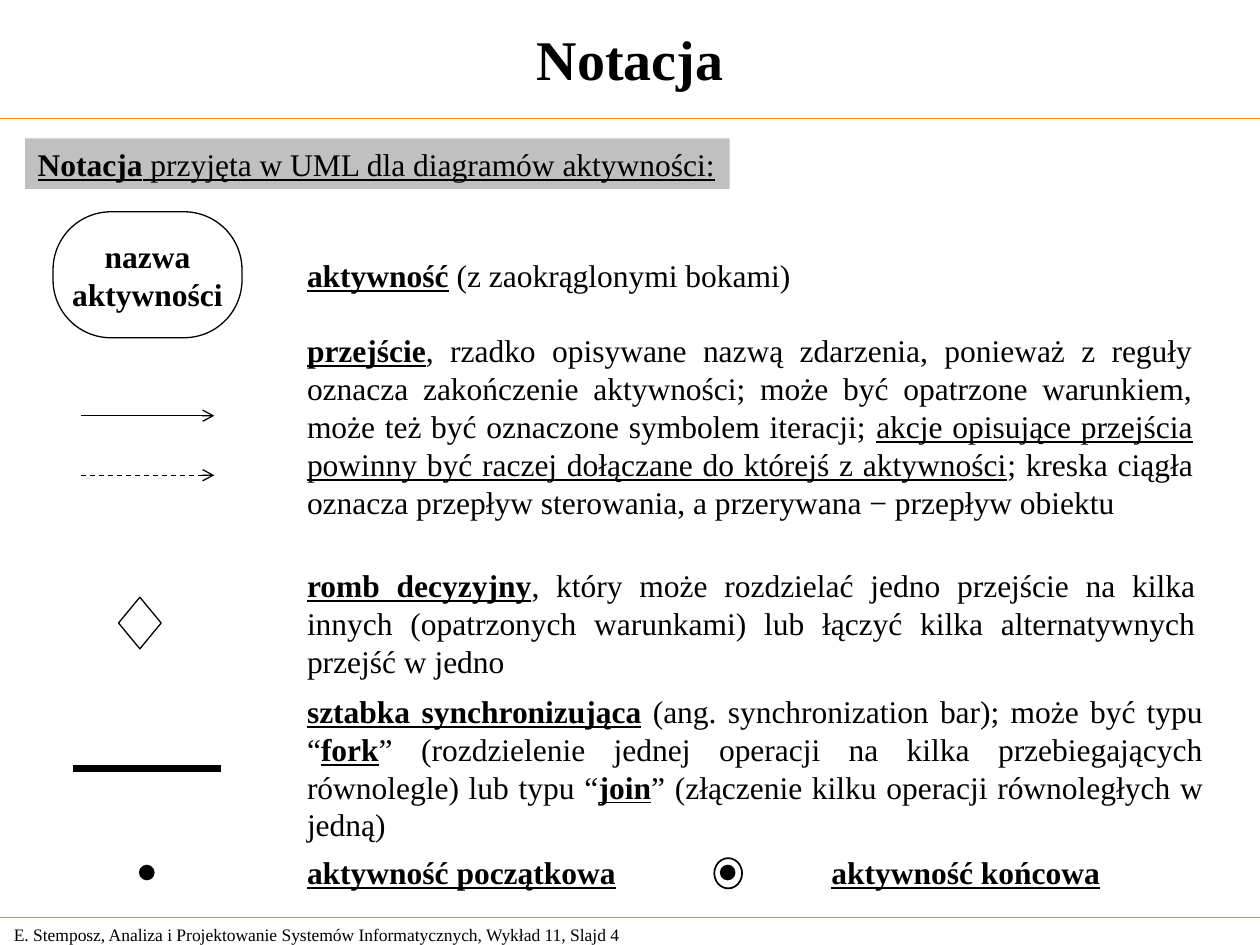
from lxml import etree
from pptx import Presentation
from pptx import util as u
from pptx.dml.color import RGBColor
from pptx.enum import dml, shapes, text
from pptx.oxml.ns import qn

BLACK, ORANGE, GREY = "000000", "FF9900", "C0C0C0"
LEFT, CENTRE, JUSTIFY = text.PP_ALIGN.LEFT, text.PP_ALIGN.CENTER, text.PP_ALIGN.JUSTIFY
TOP, MIDDLE = text.MSO_ANCHOR.TOP, text.MSO_ANCHOR.MIDDLE
KIND = shapes.MSO_SHAPE
PLAIN = {"bold": False, "underline": False}
BOLD = {"bold": True, "underline": False}
UNDERLINED = {"bold": False, "underline": True}
TERM = {"bold": True, "underline": True}


def colour(value):
    return RGBColor.from_string(value)


class NotationSlide:
    def __init__(self, page):
        self.page = page
        self.font = {"name": "Times New Roman", "size": u.Pt(18)}

    def fill_text(self, shape, paragraphs, align=LEFT, anchor=TOP, wrap=True, size=None):
        """Fill a shape with paragraphs, each a list of (words, format) pairs."""
        frame = shape.text_frame
        settings = {
            "word_wrap": wrap, "vertical_anchor": anchor,
            "auto_size": text.MSO_AUTO_SIZE.NONE,
            "margin_left": u.Cm(0.25), "margin_right": u.Cm(0.25),
            "margin_top": u.Cm(0.13), "margin_bottom": u.Cm(0.13),
        }
        for name, value in settings.items():
            setattr(frame, name, value)
        for index, runs in enumerate(paragraphs):
            para = frame.add_paragraph() if index else frame.paragraphs[0]
            para.alignment = align
            for words, style in runs:
                span = para.add_run()
                span.text = words
                for name, value in {**self.font, **style}.items():
                    setattr(span.font, name, value)
                if size:
                    span.font.size = u.Pt(size)
                span.font.color.rgb = colour(BLACK)

    def title(self, words, *place):
        shape = self.page.shapes.title
        sides = ("left", "top", "width", "height")
        for side, length in zip(sides, place):
            setattr(shape, side, u.Cm(length))
        self.fill_text(shape, [[(words, BOLD)]], CENTRE, MIDDLE, size=32)

    def label(self, runs, *place, **layout):
        box = self.page.shapes.add_textbox(*map(u.Cm, place))
        self.fill_text(box, [runs], **layout)

    def shape(self, kind, *place, fill=None, line=None):
        shape = self.page.shapes.add_shape(kind, *map(u.Cm, place))
        shape.shadow.inherit = False
        if fill:
            shape.fill.solid()
            shape.fill.fore_color.rgb = colour(fill)
        else:
            shape.fill.background()
        if line:
            shape.line.color.rgb = colour(BLACK)
            shape.line.width = u.Pt(line)
        else:
            shape.line.fill.background()
        return shape

    def line(self, left, right, y, stroke=BLACK, width=0.75, dashed=False, arrow=False):
        """Draw a horizontal line."""
        line = self.page.shapes.add_connector(
            shapes.MSO_CONNECTOR.STRAIGHT, *map(u.Cm, (left, y, right, y)))
        line.line.color.rgb = colour(stroke)
        line.line.width = u.Pt(width)
        if dashed:
            line.line.dash_style = dml.MSO_LINE.DASH
        properties = line.element.spPr
        if arrow:
            etree.SubElement(properties.find(qn("a:ln")), qn("a:tailEnd"), type="arrow")
        etree.SubElement(properties, qn("a:effectLst"))


# (top, width, height, runs) of each explained symbol
DESCRIPTIONS = [
    (5.03, 11.79, 1.02, [("aktywność", TERM), (" (z zaokrąglonymi bokami)", PLAIN)]),
    (6.55, 18.36, 4.06, [
        ("przejście", TERM),
        (", rzadko opisywane nazwą zdarzenia, ponieważ z reguły oznacza zakończenie "
         "aktywności; może być opatrzone warunkiem, może też być oznaczone symbolem "
         "iteracji; ", PLAIN),
        ("akcje opisujące przejścia powinny być raczej dołączane do którejś z "
         "aktywności", UNDERLINED),
        ("; kreska ciągła oznacza przepływ sterowania, a przerywana − przepływ "
         "obiektu", PLAIN)]),
    (11.28, 18.42, 2.54, [
        ("romb decyzyjny", TERM),
        (", który może rozdzielać jedno przejście na kilka innych (opatrzonych "
         "warunkami) lub łączyć kilka alternatywnych przejść w jedno", PLAIN)]),
    (13.82, 18.57, 3.3, [
        ("sztabka", TERM), (" ", UNDERLINED), ("synchronizująca", TERM),
        (" (ang. synchronization bar); może być typu “", PLAIN), ("fork", TERM),
        ("” (rozdzielenie jednej operacji na kilka przebiegających równolegle) "
         "lub typu “", PLAIN), ("join", TERM),
        ("” (złączenie kilku operacji równoległych w jedną)", PLAIN)]),
]


def main():
    deck = Presentation()
    deck.slide_width, deck.slide_height = u.Cm(25.4), u.Cm(19.05)
    slide = NotationSlide(deck.slides.add_slide(deck.slide_layouts[5]))

    slide.label([("E. Stemposz, Analiza i Projektowanie Systemów Informatycznych, "
                  "Wykład 11, Slajd 4", PLAIN)],
                0.03, 18.49, 13.31, 0.69, anchor=MIDDLE, size=10)
    for y in (2.39, 18.49):
        slide.line(0, 25.4, y, stroke=ORANGE)
    slide.title("Notacja", 0.1, 0.1, 25.2, 2.16)

    heading = slide.shape(KIND.RECTANGLE, 0.51, 2.79, 14.2, 1.02, fill=GREY)
    slide.fill_text(heading, [[("Notacja", TERM),
                               (" przyjęta w UML dla diagramów aktywności:", UNDERLINED)]],
                    wrap=False)

    activity = slide.shape(KIND.ROUNDED_RECTANGLE, 1.07, 4.27, 3.81, 2.54, line=0.75)
    activity.adjustments[0] = 0.46
    slide.fill_text(activity, [[("nazwa", BOLD)], [("aktywności", BOLD)]],
                    CENTRE, MIDDLE, wrap=False)
    slide.line(1.63, 4.32, 8.38, arrow=True)
    slide.line(1.63, 4.32, 9.58, arrow=True, dashed=True)
    slide.shape(KIND.DIAMOND, 2.39, 12.04, 0.86, 1.04, line=0.75)
    slide.line(1.47, 4.45, 15.49, width=4)

    for top, width, height, runs in DESCRIPTIONS:
        slide.label(runs, 5.94, top, width, height, align=JUSTIFY)

    slide.shape(KIND.OVAL, 14.4, 17.3, 0.56, 0.61, line=1)
    for dot_left in (2.82, 14.53):
        slide.shape(KIND.OVAL, dot_left, 17.45, 0.28, 0.28, fill=BLACK, line=1)
    for words, left, width in (("aktywność początkowa", 5.94, 6.73),
                               ("aktywność końcowa", 16.51, 5.92)):
        slide.label([(words, TERM)], left, 17.07, width, 1.02, wrap=False)

    deck.save("out.pptx")


if __name__ == "__main__":
    main()
